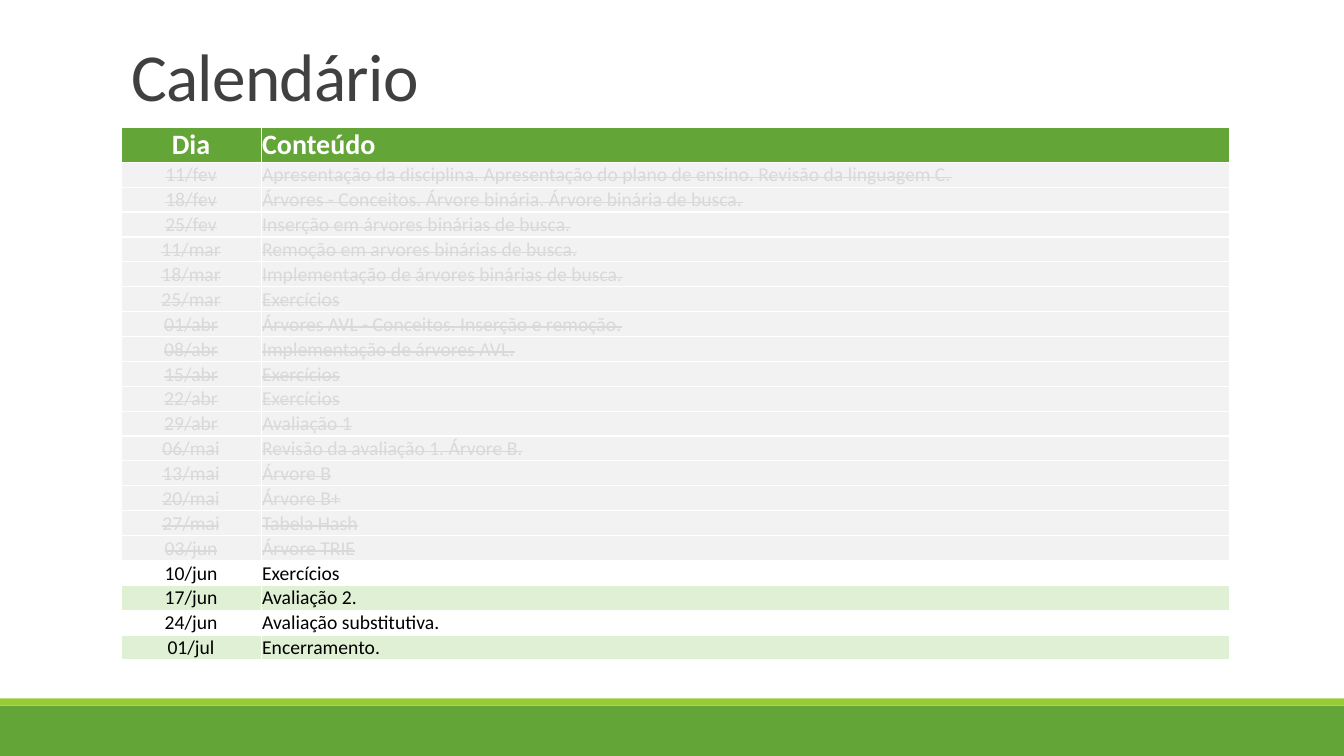
import lxml.etree
import pptx
import pptx.dml.color
import pptx.enum.shapes
import pptx.enum.text
import pptx.oxml.ns
import pptx.util

WIDTH, HEIGHT = 13.33, 7.5
FONT = "Calibri"
COLORS = {
    "green": "63A537", "lime": "99CB38", "pale": "DFF0D4", "white": "FFFFFF",
    "black": "000000", "title": "404040", "done_text": "D9D9D9", "done_fill": "F2F2F2",
}
ALIGN = pptx.enum.text.PP_ALIGN
ANCHOR = pptx.enum.text.MSO_ANCHOR

HEADER = ("Dia", "Conteúdo")
DONE = [
    ("11/fev", "Apresentação da disciplina. Apresentação do plano de ensino. "
               "Revisão da linguagem C."),
    ("18/fev", "Árvores - Conceitos. Árvore binária. Árvore binária de busca."),
    ("25/fev", "Inserção em árvores binárias de busca."),
    ("11/mar", "Remoção em arvores binárias de busca."),
    ("18/mar", "Implementação de árvores binárias de busca."),
    ("25/mar", "Exercícios"),
    ("01/abr", "Árvores AVL - Conceitos. Inserção e remoção."),
    ("08/abr", "Implementação de árvores AVL."),
    ("15/abr", "Exercícios"),
    ("22/abr", "Exercícios"),
    ("29/abr", "Avaliação 1"),
    ("06/mai", "Revisão da avaliação 1. Árvore B."),
    ("13/mai", "Árvore B"),
    ("20/mai", "Árvore B+"),
    ("27/mai", "Tabela Hash"),
    ("03/jun", "Árvore TRIE"),
]
UPCOMING = [
    ("10/jun", "Exercícios"),
    ("17/jun", "Avaliação 2."),
    ("24/jun", "Avaliação substitutiva."),
    ("01/jul", "Encerramento."),
]


def color(name):
    return pptx.dml.color.RGBColor.from_string(COLORS[name])


def inches(*lengths):
    return [pptx.util.Inches(length) for length in lengths]


def write(frame, text, size, ink, bold=False, strike=False, align=ALIGN.LEFT,
          line_spacing=None, tracking=None):
    """Put one formatted paragraph in a text frame."""
    para = frame.paragraphs[0]
    para.alignment = align
    if line_spacing:
        para.line_spacing = line_spacing
    span = para.add_run()
    span.text = text
    span.font.name = FONT
    span.font.size = pptx.util.Pt(size)
    span.font.bold = bold
    span.font.color.rgb = color(ink)
    properties = span._r.get_or_add_rPr()
    if strike:
        properties.set("strike", "sngStrike")
    if tracking:
        properties.set("spc", str(round(tracking * 100)))


def add_footer(page, box):
    """Green band with a thin lime stripe on top."""
    left, top, width, height = box
    stripe = 0.07
    bands = [("green", top + stripe, height - stripe), ("lime", top, stripe)]
    for fill, band_top, band_height in bands:
        band = page.shapes.add_shape(
            pptx.enum.shapes.MSO_SHAPE.RECTANGLE,
            *inches(left, band_top, width, band_height))
        band.shadow.inherit = False
        band.fill.solid()
        band.fill.fore_color.rgb = color(fill)
        band.line.fill.background()


def add_title(page, box, text):
    title = page.shapes.title
    title.left, title.top, title.width, title.height = inches(*box)
    frame = title.text_frame
    frame.auto_size = pptx.enum.text.MSO_AUTO_SIZE.NONE
    frame.vertical_anchor = ANCHOR.BOTTOM
    write(frame, text, 48, "title", line_spacing=0.85, tracking=-0.5)


def add_borders(cell, ink, points):
    properties = cell._tc.get_or_add_tcPr()
    for side in ("lnL", "lnR", "lnT", "lnB"):
        line = lxml.etree.SubElement(
            properties, pptx.oxml.ns.qn("a:" + side), w=str(pptx.util.Pt(points)))
        fill = lxml.etree.SubElement(line, pptx.oxml.ns.qn("a:solidFill"))
        lxml.etree.SubElement(fill, pptx.oxml.ns.qn("a:srgbClr"), val=COLORS[ink])


def fill_row(table, index, texts, fill, day_anchor=ANCHOR.BOTTOM, **style):
    """Centred day on the left, content on the right."""
    layout = [(ALIGN.CENTER, day_anchor), (ALIGN.LEFT, ANCHOR.MIDDLE)]
    for column, (text, (align, anchor)) in enumerate(zip(texts, layout)):
        cell = table.cell(index, column)
        cell.margin_left, cell.margin_right, cell.margin_top, cell.margin_bottom = inches(
            0.01, 0.01, 0.01, 0)
        cell.vertical_anchor = anchor
        add_borders(cell, "white", 1)
        cell.fill.solid()
        cell.fill.fore_color.rgb = color(fill)
        write(cell.text_frame, text, align=align, **style)


def add_calendar(page, box):
    width, height = box[2:]
    count = len(DONE) + len(UPCOMING)
    table = page.shapes.add_table(count + 1, 2, *inches(*box)).table

    # Column and row sizes
    day_width, header_height = 1.39, 0.35
    table.columns[0].width, table.columns[1].width = inches(day_width, width - day_width)
    for row in table.rows:
        row.height = pptx.util.Inches((height - header_height) / count)
    table.rows[0].height = pptx.util.Inches(header_height)

    # Header, past classes, coming classes
    fill_row(table, 0, HEADER, "green", ANCHOR.MIDDLE, size=20, ink="white", bold=True)
    for index, texts in enumerate(DONE, 1):
        fill_row(table, index, texts, "done_fill", size=14, ink="done_text", strike=True)
    for index, texts in enumerate(UPCOMING, len(DONE) + 1):
        fill_row(table, index, texts, "pale" if index % 2 == 0 else "white",
                 size=14, ink="black")


def main():
    deck = pptx.Presentation()
    deck.slide_width, deck.slide_height = inches(WIDTH, HEIGHT)
    page = deck.slides.add_slide(deck.slide_layouts.get_by_name("Title Only"))
    left, width = 1.2, 11
    add_footer(page, (0, 6.93, WIDTH, HEIGHT - 6.93))
    add_title(page, (left, 0.31, width, 0.88), "Calendário")
    add_calendar(page, (left, 1.26, width, 5.28))
    deck.save("out.pptx")


if __name__ == "__main__":
    main()
